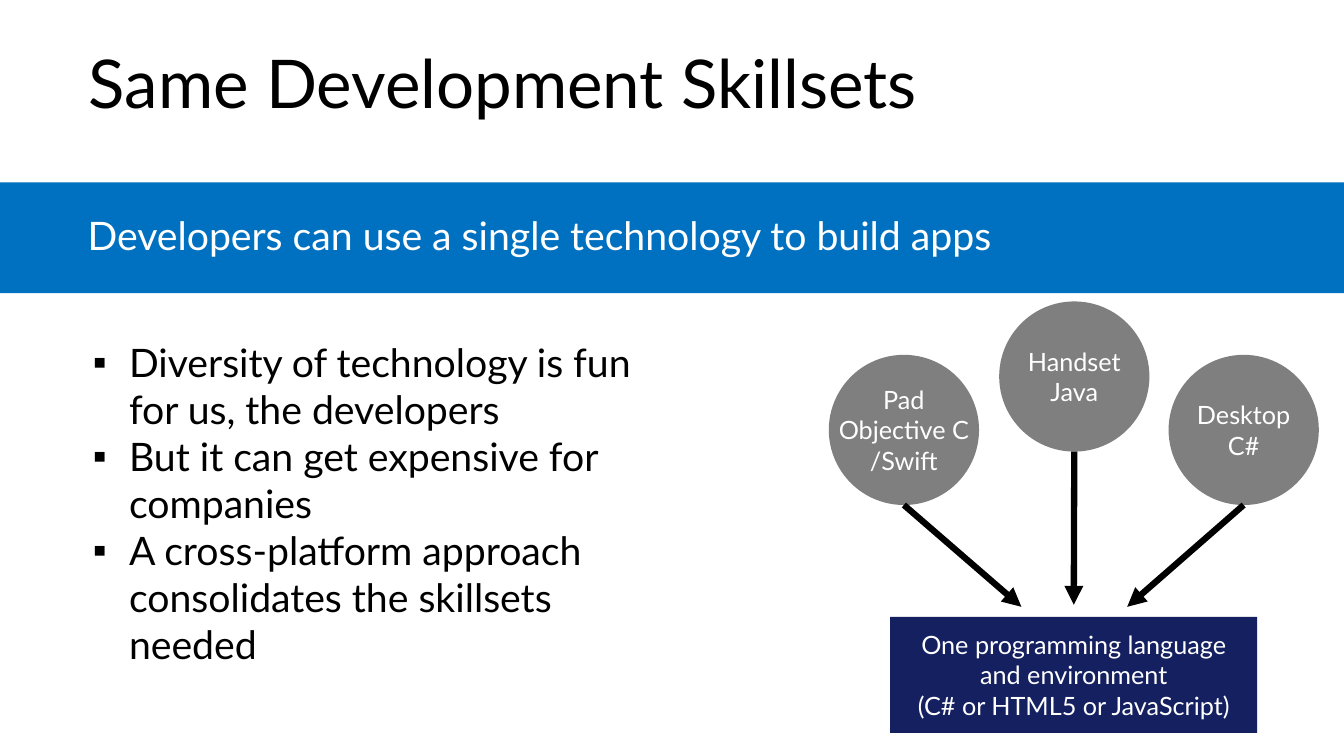
from lxml.etree import SubElement
from pptx import Presentation
from pptx.dml.color import RGBColor
from pptx.enum.shapes import MSO_CONNECTOR, MSO_SHAPE
from pptx.enum.text import MSO_ANCHOR, MSO_AUTO_SIZE, PP_ALIGN
from pptx.oxml.ns import qn
from pptx.util import Inches, Pt

FONT = "Lato"
BLACK, WHITE, BLUE, GREY, NAVY = "000000", "FFFFFF", "0070C0", "7F7F7F", "152060"
CIRCLE_SIZE = 1.49


def color(value):
    """Turn a hex string into a colour."""
    return RGBColor.from_string(value)


def place(shape, left, top, width, height):
    """Move and size a shape, in inches."""
    shape.left, shape.top = Inches(left), Inches(top)
    shape.width, shape.height = Inches(width), Inches(height)


def add_bullet(para, symbol, left, hanging):
    """Give a paragraph a bullet with a hanging indent."""
    properties = para._p.get_or_add_pPr()
    properties.set("marL", str(Inches(left)))
    properties.set("indent", str(-Inches(hanging)))
    SubElement(properties, qn("a:buFont")).set("typeface", "Arial")
    SubElement(properties, qn("a:buChar")).set("char", symbol)


def write(shape, lines, size=18, fill=WHITE, align=PP_ALIGN.LEFT, spacing=1.0,
          bullet=None, wrap=True):
    """Fill a shape with one formatted paragraph per line."""
    frame = shape.text_frame
    frame.auto_size = MSO_AUTO_SIZE.NONE
    frame.word_wrap = wrap
    frame.vertical_anchor = MSO_ANCHOR.MIDDLE
    for index, line in enumerate(lines):
        para = frame.add_paragraph() if index else frame.paragraphs[0]
        if bullet:
            add_bullet(para, bullet, 1.18, 0.36)
        para.alignment = align
        para.line_spacing = spacing
        para.space_before = Pt(0)
        span = para.add_run()
        span.text = line
        span.font.name = FONT
        span.font.size = Pt(size)
        span.font.color.rgb = color(fill)


def add_block(page, kind, left, top, width, height, fill):
    """Add a flat filled shape without outline."""
    shape = page.shapes.add_shape(kind, Inches(left), Inches(top), Inches(width), Inches(height))
    shape.shadow.inherit = False
    shape.fill.solid()
    shape.fill.fore_color.rgb = color(fill)
    shape.line.fill.background()
    return shape


def add_platform(page, left, top, lines):
    """Add a grey circle that names a platform and its languages."""
    circle = add_block(page, MSO_SHAPE.OVAL, left, top, CIRCLE_SIZE, CIRCLE_SIZE, GREY)
    write(circle, lines, align=PP_ALIGN.CENTER, wrap=False)


def add_arrow(page, start, end):
    """Add a thick black arrow between two points."""
    arrow = page.shapes.add_connector(MSO_CONNECTOR.STRAIGHT, *map(Inches, start + end))
    arrow.line.color.rgb = color(BLACK)
    arrow.line.width = Pt(4.5)
    SubElement(arrow.line._get_or_add_ln(), qn("a:tailEnd")).set("type", "triangle")
    SubElement(arrow._element.spPr, qn("a:effectLst"))


def main():
    """Build the slide and save it."""
    deck = Presentation()
    deck.slide_width, deck.slide_height = Inches(13.33), Inches(7.5)
    page = deck.slides.add_slide(deck.slide_layouts[1])

    title, body = page.placeholders
    place(title, 0.78, 0.14, 11.5, 1.45)
    write(title, ["Same Development Skillsets"], size=48, fill=BLACK, spacing=0.9)

    add_block(page, MSO_SHAPE.RECTANGLE, 0, 1.81, 13.33, 1.1, BLUE)
    subtitle = page.shapes.add_textbox(Inches(0.77), Inches(1.97), Inches(12.4), Inches(0.77))
    write(subtitle, ["Developers can use a single technology to build apps"], size=28, spacing=0.9)

    place(body, 0, 3.2, 6.63, 3.58)
    write(body, [
        "Diversity of technology is fun for us, the developers",
        "But it can get expensive for companies",
        "A cross-platform approach consolidates the skillsets needed",
    ], size=28, fill=BLACK, bullet="▪")

    platforms = [
        (8.22, 3.52, ["Pad", "Objective C", "/Swift"], (10.13, 6.02)),
        (9.91, 2.99, ["Handset", "Java"], (10.65, 6)),
        (11.59, 3.52, ["Desktop", "C#"], (11.18, 6.02)),
    ]
    for left, top, lines, target in platforms:
        add_platform(page, left, top, lines)
        add_arrow(page, (left + CIRCLE_SIZE / 2, top + CIRCLE_SIZE), target)

    result = add_block(page, MSO_SHAPE.RECTANGLE, 8.83, 6.12, 3.64, 1.15, NAVY)
    write(result, ["One programming language and environment", "(C# or HTML5 or JavaScript)"],
          align=PP_ALIGN.CENTER)

    deck.save("out.pptx")


if __name__ == "__main__":
    main()
